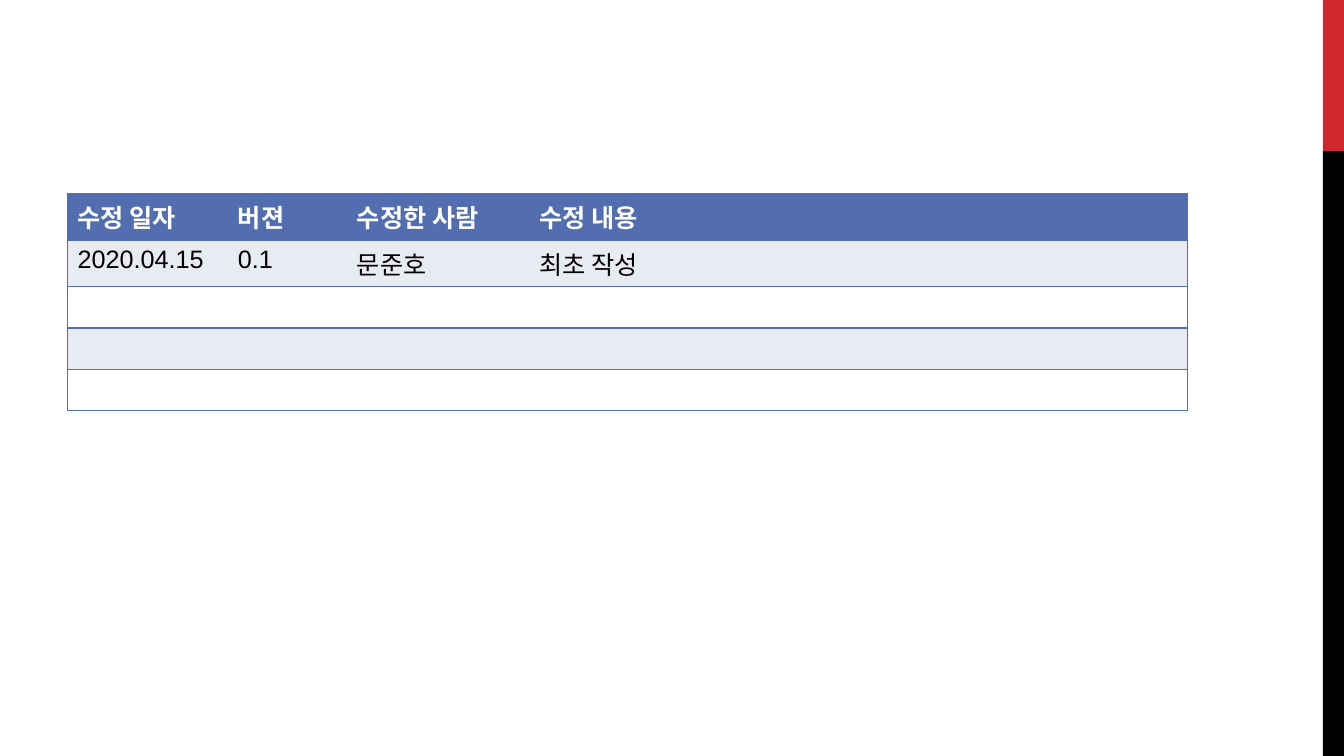
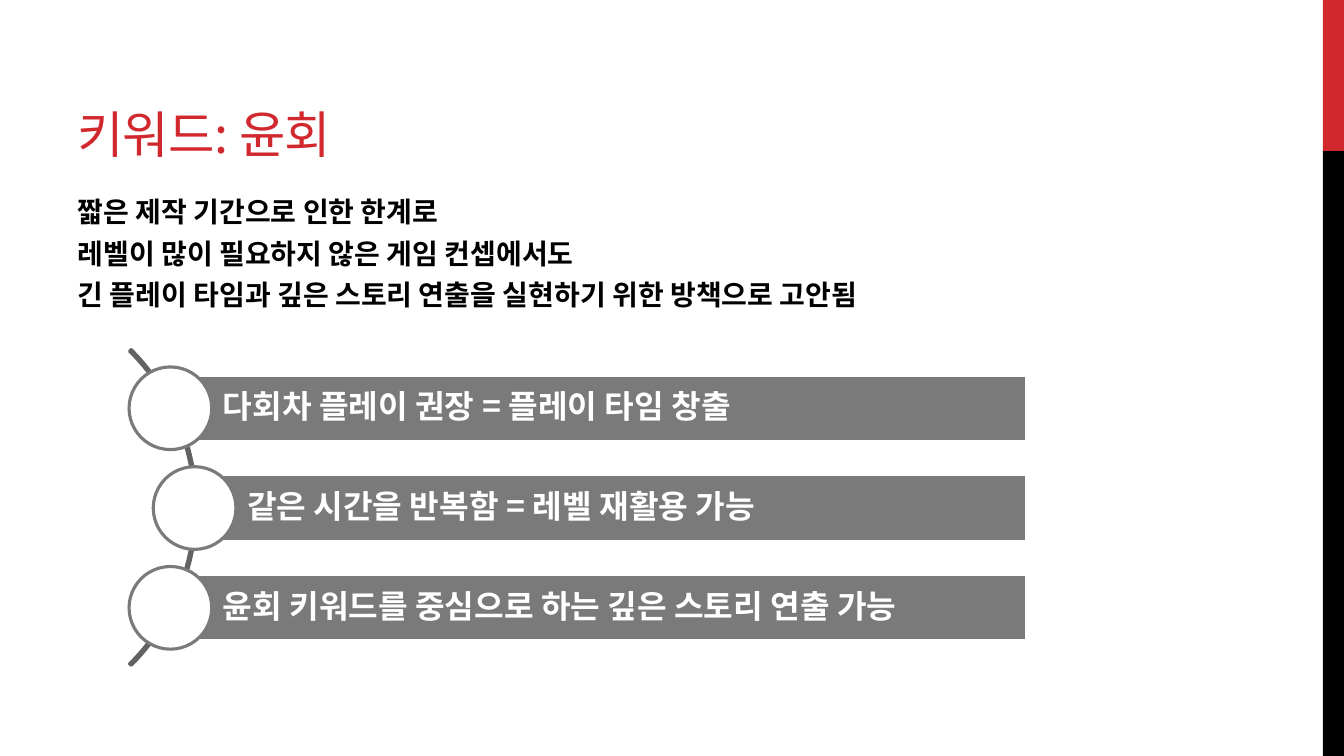
from dataclasses import dataclass

from lxml.etree import SubElement
from pptx import Presentation
from pptx.dml.color import RGBColor
from pptx.enum.shapes import MSO_SHAPE
from pptx.enum.text import MSO_ANCHOR, PP_ALIGN
from pptx.oxml.ns import qn
from pptx.shapes.autoshape import Shape
from pptx.slide import Slide
from pptx.table import _Cell
from pptx.text.text import TextFrame, _Paragraph
from pptx.util import Inches, Pt

RED = RGBColor(0xD1, 0x28, 0x2E)
BLACK = RGBColor(0x00, 0x00, 0x00)
WHITE = RGBColor(0xFF, 0xFF, 0xFF)
BLUE = RGBColor(0x52, 0x6D, 0xB0)
PALE_BLUE = RGBColor(0xE9, 0xEB, 0xF2)
GRAY = RGBColor(0x7A, 0x7A, 0x7A)
DARK_GRAY = RGBColor(0x62, 0x62, 0x62)

LATIN = "Arial"
HANGUL = "Noto Sans CJK KR"


@dataclass(frozen=True)
class Box:
    left: float
    top: float
    width: float
    height: float

    def lengths(self) -> tuple[int, int, int, int]:
        return (Inches(self.left), Inches(self.top),
                Inches(self.width), Inches(self.height))


@dataclass(frozen=True)
class Point:
    text: str
    left: float


BANDS = ((Box(13.12, 0, 0.21, 1.5), RED), (Box(13.12, 1.5, 0.21, 6), BLACK))

COLUMN_WIDTHS = (1.59, 1.18, 1.81, 6.53)
ROW_HEIGHT = 0.41
REVISIONS = (
    ("수정 일자", "버젼", "수정한 사람", "수정 내용"),
    ("2020.04.15", "0.1", "문준호", "최초 작성"),
    ("",) * 4,
    ("",) * 4,
    ("",) * 4,
)

REASONS = (
    "짧은 제작 기간으로 인한 한계로",
    "레벨이 많이 필요하지 않은 게임 컨셉에서도",
    "긴 플레이 타임과 깊은 스토리 연출을 실현하기 위한 방책으로 고안됨",
)

POINTS = (
    Point("다회차 플레이 권장 = 플레이 타임 창출", 1.69),
    Point("같은 시간을 반복함 = 레벨 재활용 가능", 1.93),
    Point("윤회 키워드를 중심으로 하는 깊은 스토리 연출 가능", 1.69),
)
BAR_TOP = 3.72
BAR_PITCH = 0.99
BAR_HEIGHT = 0.66
BAR_RIGHT = 10.18
CIRCLE = 0.82


def add_text(p: _Paragraph, text: str, *, size: float, color: RGBColor,
             bold: bool = False, font: str = HANGUL,
             tracking: float = 0) -> None:
    r = p.add_run()
    r.text = text
    r.font.size = Pt(size)
    r.font.bold = bold
    r.font.name = font
    r.font.color.rgb = color
    rPr = r._r.get_or_add_rPr()
    SubElement(rPr, qn("a:ea")).set("typeface", HANGUL)
    if tracking:
        rPr.set("spc", str(round(tracking * 100)))


def add_shape(slide: Slide, kind: MSO_SHAPE, box: Box, *,
              fill: RGBColor | None = None,
              line: RGBColor | None = None) -> Shape:
    sp = slide.shapes.add_shape(kind, *box.lengths())
    sp.shadow.inherit = False
    if fill is None:
        sp.fill.background()
    else:
        sp.fill.solid()
        sp.fill.fore_color.rgb = fill
    if line is None:
        sp.line.fill.background()
    else:
        sp.line.color.rgb = line
        sp.line.width = Pt(2.25)
    return sp


def add_textbox(slide: Slide, box: Box,
                anchor: MSO_ANCHOR = MSO_ANCHOR.TOP) -> TextFrame:
    tf = slide.shapes.add_textbox(*box.lengths()).text_frame
    tf.word_wrap = True
    tf.vertical_anchor = anchor
    return tf


def add_slide(prs: Presentation) -> Slide:
    slide = prs.slides.add_slide(prs.slide_layouts[6])
    for box, color in BANDS:
        add_shape(slide, MSO_SHAPE.RECTANGLE, box, fill=color)
    return slide


def add_title(slide: Slide, text: str) -> None:
    tf = add_textbox(slide, Box(0.67, 0.17, 8.44, 1.5), MSO_ANCHOR.BOTTOM)
    add_text(tf.paragraphs[0], text, size=36, color=RED, tracking=-0.6)


def set_borders(cell: _Cell, visible: set[str]) -> None:
    tcPr = cell._tc.get_or_add_tcPr()
    for side in ("L", "R", "T", "B"):
        ln = SubElement(tcPr, qn(f"a:ln{side}"))
        if side in visible:
            ln.set("w", str(Pt(1)))
            fill = SubElement(ln, qn("a:solidFill"))
            SubElement(fill, qn("a:srgbClr")).set("val", str(BLUE))
        else:
            SubElement(ln, qn("a:noFill"))


def add_revision_table(slide: Slide) -> None:
    rows, cols = len(REVISIONS), len(COLUMN_WIDTHS)
    box = Box(0.67, 1.92, sum(COLUMN_WIDTHS), rows * ROW_HEIGHT)
    table = slide.shapes.add_table(rows, cols, *box.lengths()).table
    for column, width in zip(table.columns, COLUMN_WIDTHS):
        column.width = Inches(width)
    for i, texts in enumerate(REVISIONS):
        table.rows[i].height = Inches(ROW_HEIGHT)
        header = i == 0
        fill = BLUE if header else PALE_BLUE if i % 2 else WHITE
        for j, text in enumerate(texts):
            cell = table.cell(i, j)
            sides = {"T", "B"}
            if j == 0:
                sides.add("L")
            if j == cols - 1:
                sides.add("R")
            set_borders(cell, sides)
            cell.fill.solid()
            cell.fill.fore_color.rgb = fill
            if text:
                add_text(cell.text_frame.paragraphs[0], text, size=18,
                         color=WHITE if header else BLACK, bold=header,
                         font=LATIN)


def add_reasons(slide: Slide) -> None:
    tf = add_textbox(slide, Box(0.67, 1.92, 11.59, 4.78))
    for i, text in enumerate(REASONS):
        p = tf.add_paragraph() if i else tf.paragraphs[0]
        p.line_spacing = 0.9
        p.space_after = Pt(8)
        add_text(p, text, size=20, color=BLACK, bold=True, font=LATIN)


def add_point(slide: Slide, point: Point, top: float) -> None:
    bar = Box(point.left, top, BAR_RIGHT - point.left, BAR_HEIGHT)
    sp = add_shape(slide, MSO_SHAPE.RECTANGLE, bar, fill=GRAY, line=WHITE)
    tf = sp.text_frame
    tf.word_wrap = True
    tf.vertical_anchor = MSO_ANCHOR.MIDDLE
    tf.margin_left = Inches(0.52)
    tf.margin_right = tf.margin_top = tf.margin_bottom = Inches(0.06)
    p = tf.paragraphs[0]
    p.alignment = PP_ALIGN.LEFT
    p.line_spacing = 0.9
    add_text(p, point.text, size=23, color=WHITE, bold=True)
    circle = Box(point.left - CIRCLE / 2, top + (BAR_HEIGHT - CIRCLE) / 2,
                 CIRCLE, CIRCLE)
    add_shape(slide, MSO_SHAPE.OVAL, circle, fill=WHITE, line=GRAY)


def add_points(slide: Slide) -> None:
    arc = add_shape(slide, MSO_SHAPE.BLOCK_ARC, Box(-2.48, 2.82, 4.43, 4.43),
                    line=DARK_GRAY)
    for i, value in enumerate((189, 27, 0.005)):
        arc.adjustments[i] = value
    for i, point in enumerate(POINTS):
        add_point(slide, point, BAR_TOP + i * BAR_PITCH)


def main() -> None:
    prs = Presentation()
    prs.slide_width = Inches(13.33)
    prs.slide_height = Inches(7.5)

    add_revision_table(add_slide(prs))

    keyword = add_slide(prs)
    add_title(keyword, "키워드: 윤회")
    add_points(keyword)
    add_reasons(keyword)

    prs.save("out.pptx")


if __name__ == "__main__":
    main()
